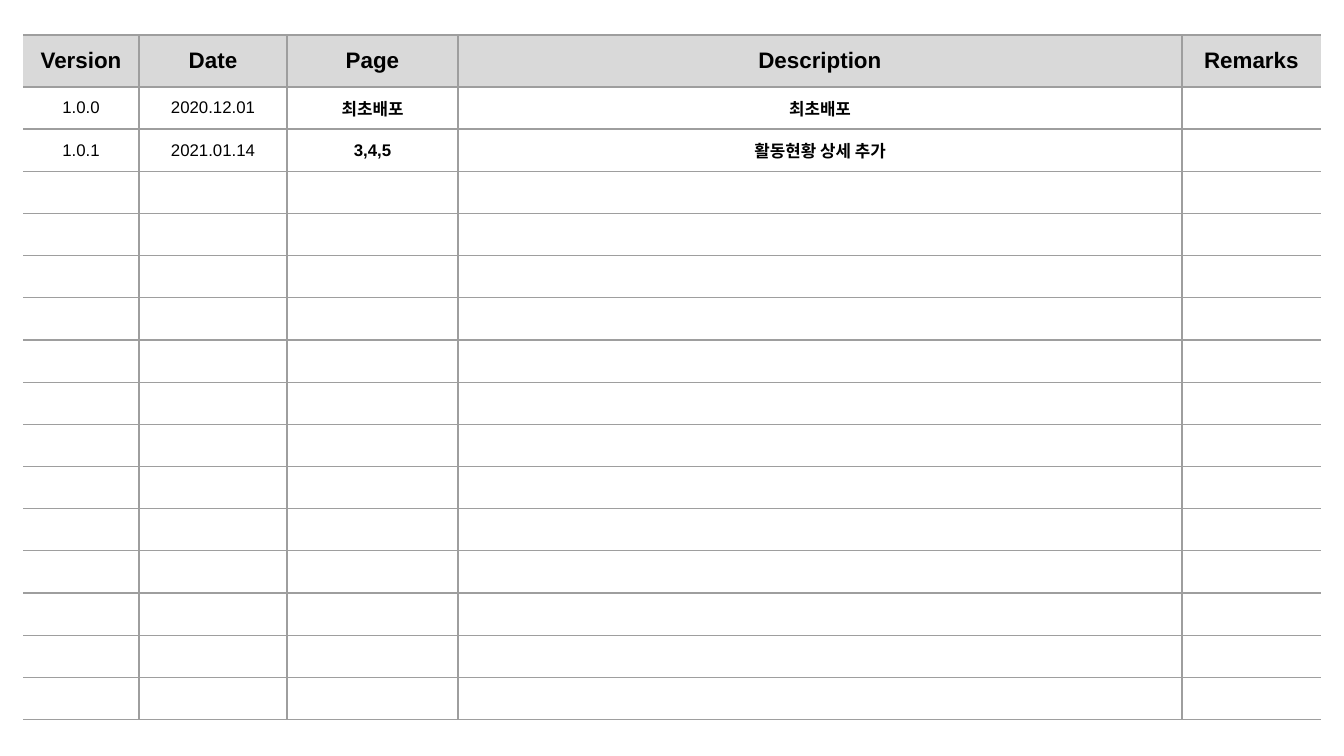
from dataclasses import dataclass

from lxml.etree import SubElement
from pptx import Presentation
from pptx.dml.color import RGBColor
from pptx.enum.text import MSO_ANCHOR, PP_ALIGN
from pptx.oxml.ns import qn
from pptx.util import Emu, Pt

# Content: (heading, column width in px, bold entries)
COLUMNS = [
    ("Version", 116, False),
    ("Date", 148, False),
    ("Page", 171, True),
    ("Description", 724, True),
    ("Remarks", 139, False),
]
REVISIONS = [
    ("1.0.0", "2020.12.01", "최초배포", "최초배포", ""),
    ("1.0.1", "2021.01.14", "3,4,5", "활동현황 상세 추가", ""),
]
BODY_ROWS = 15

# Layout in px
SLIDE_WIDTH, SLIDE_HEIGHT = 1344, 756
LEFT, TOP = 23, 35
HEADER_HEIGHT, BODY_HEIGHT = 52, 633


@dataclass(frozen=True)
class Theme:
    font: str = "Arial"
    text: str = "000000"
    header_fill: str = "D9D9D9"
    rule: str = "9E9E9E"
    rule_width: float = 0.75
    header_size: int = 12
    body_size: int = 9


THEME = Theme()


def px(length):
    return Emu(round(length * 914400 / 134.4))


def set_borders(cell, visible):
    properties = cell._tc.get_or_add_tcPr()
    for position, side in enumerate("LRTB"):
        line = SubElement(properties, qn(f"a:ln{side}"), w=str(Pt(THEME.rule_width)))
        if side in visible:
            fill = SubElement(line, qn("a:solidFill"))
            SubElement(fill, qn("a:srgbClr"), val=THEME.rule)
        else:
            SubElement(line, qn("a:noFill"))
        properties.insert(position, line)


def write_cell(cell, text, size, bold):
    cell.margin_left = cell.margin_right = cell.margin_top = cell.margin_bottom = 0
    cell.vertical_anchor = MSO_ANCHOR.MIDDLE
    cell.text = text
    paragraph = cell.text_frame.paragraphs[0]
    paragraph.alignment = PP_ALIGN.CENTER
    font = paragraph.font
    font.name, font.size, font.bold = THEME.font, Pt(size), bold
    font.color.rgb = RGBColor.from_string(THEME.text)


def add_history(slide):
    width = sum(column_width for _, column_width, _ in COLUMNS)
    history = slide.shapes.add_table(
        BODY_ROWS + 1, len(COLUMNS), px(LEFT), px(TOP),
        px(width), px(HEADER_HEIGHT + BODY_HEIGHT),
    ).table
    history.first_row = history.horz_banding = False

    # Row heights
    for row in history.rows:
        row.height = px(BODY_HEIGHT / BODY_ROWS)
    history.rows[0].height = px(HEADER_HEIGHT)

    # Columns: heading, entries, then blank rows
    last = len(COLUMNS) - 1
    for c, (heading, column_width, bold) in enumerate(COLUMNS):
        history.columns[c].width = px(column_width)
        borders = "TB" + ("L" if c > 0 else "") + ("R" if c < last else "")
        for r in range(BODY_ROWS + 1):
            cell = history.cell(r, c)
            if r == 0:
                write_cell(cell, heading, THEME.header_size, True)
                cell.fill.solid()
                cell.fill.fore_color.rgb = RGBColor.from_string(THEME.header_fill)
            else:
                entry = REVISIONS[r - 1][c] if r <= len(REVISIONS) else ""
                write_cell(cell, entry, THEME.body_size, bold)
                cell.fill.background()
            set_borders(cell, borders)


def main():
    presentation = Presentation()
    presentation.slide_width = px(SLIDE_WIDTH)
    presentation.slide_height = px(SLIDE_HEIGHT)
    slide = presentation.slides.add_slide(presentation.slide_layouts[6])
    add_history(slide)
    presentation.save("out.pptx")


if __name__ == "__main__":
    main()
